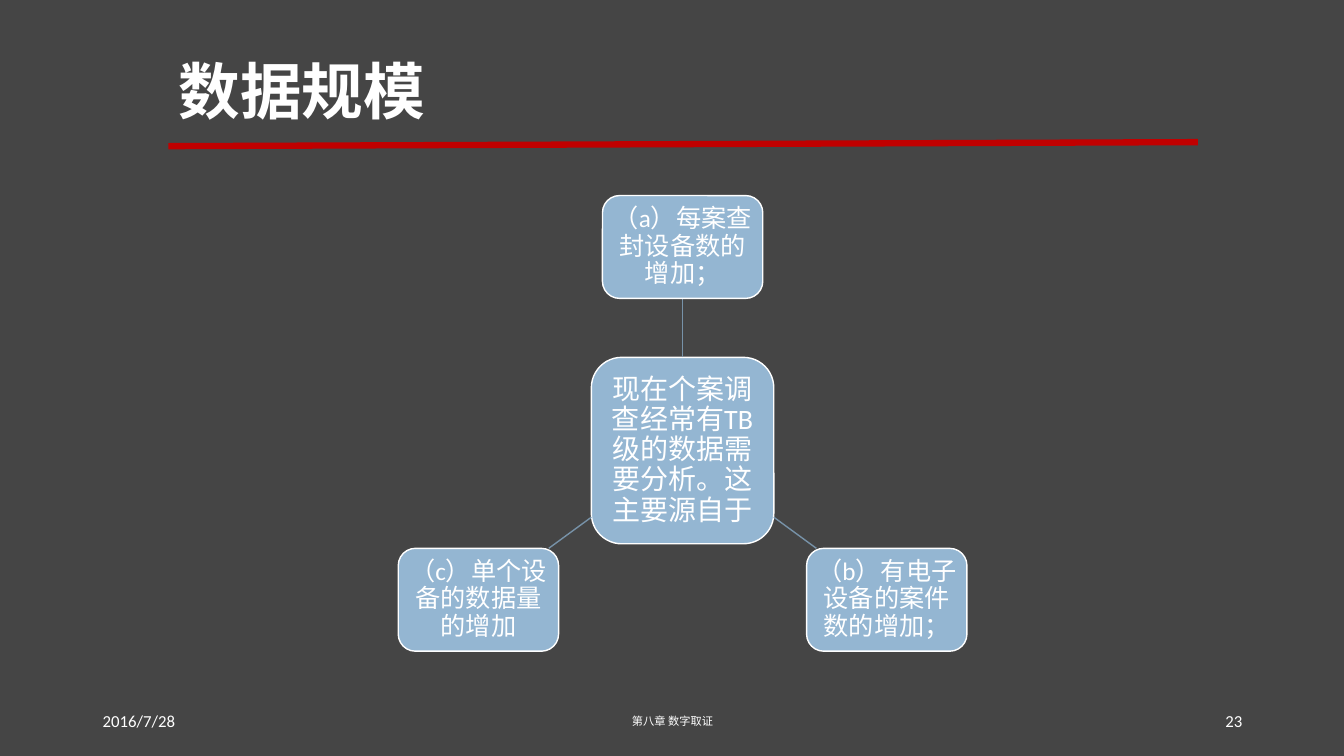
from collections import namedtuple

from lxml.etree import SubElement
from pptx import Presentation
from pptx.dml.color import RGBColor
from pptx.enum.shapes import MSO_CONNECTOR as Connector, MSO_SHAPE as Shape
from pptx.enum.text import MSO_ANCHOR as Anchor, MSO_AUTO_SIZE as AutoSize, PP_ALIGN as Align
from pptx.oxml.ns import qn
from pptx.util import Inches, Pt

BACKGROUND = RGBColor(0x45, 0x45, 0x45)
WHITE = RGBColor(0xFF, 0xFF, 0xFF)
RED = RGBColor(0xC0, 0x00, 0x00)
NODE_BLUE = RGBColor(0x94, 0xB6, 0xD2)
LINK_BLUE = RGBColor(0x77, 0x92, 0xA8)
LATIN_FONT = "Calibri"
CHINESE_FONT = "Noto Sans CJK SC"

# All boxes are in inches
Box = namedtuple("Box", "left top width height")

HUB_SIZE = (1.81, 1.85)
HUB_DROP = 2.53  # from the top of the diagram to the hub's centre
NODE_SIZE = (1.59, 1.02)
HUB_TEXT = "现在个案调查经常有TB级的数据需要分析。这主要源自于"
NODE_TEXTS = ["（a）每案查封设备数的增加；", "（b）有电子设备的案件数的增加；", "（c）单个设备的数据量的增加"]


def write_text(shape, text, size, align, font=LATIN_FONT, bold=False, spacing=1.0, inset=None):
    frame = shape.text_frame
    frame.word_wrap = True
    frame.auto_size = AutoSize.NONE
    frame.vertical_anchor = Anchor.MIDDLE
    if inset is not None:
        frame.margin_left = frame.margin_right = Inches(inset)
        frame.margin_top = frame.margin_bottom = Inches(inset)
    frame.text = text
    paragraph = frame.paragraphs[0]
    paragraph.alignment = align
    paragraph.line_spacing = spacing
    paragraph.font.name = font
    paragraph.font.size = Pt(size)
    paragraph.font.bold = bold
    paragraph.font.color.rgb = WHITE
    # Chinese characters take their own typeface
    properties = paragraph._p.pPr.find(qn("a:defRPr"))
    SubElement(properties, qn("a:ea"), typeface=CHINESE_FONT)


def add_line(slide, start, end, color, width):
    points = [Inches(value) for value in (*start, *end)]
    line = slide.shapes.add_connector(Connector.STRAIGHT, *points)
    line.line.color.rgb = color
    line.line.width = Pt(width)
    SubElement(line._element.spPr, qn("a:effectLst"))


def add_node(slide, center, size, text, font_size, inset):
    left, top = (middle - length / 2 for middle, length in zip(center, size))
    node = slide.shapes.add_shape(
        Shape.ROUNDED_RECTANGLE, *(Inches(value) for value in (left, top, *size)))
    node.shadow.inherit = False
    node.fill.solid()
    node.fill.fore_color.rgb = NODE_BLUE
    node.line.color.rgb = WHITE
    node.line.width = Pt(1)
    write_text(node, text, font_size, Align.CENTER, spacing=0.9, inset=inset)


def edge_point(center, size, target):
    """Point where the ray from a node's centre to the target leaves the node."""
    offsets = [goal - middle for goal, middle in zip(target, center)]
    scale = min(length / 2 / abs(offset) for length, offset in zip(size, offsets) if offset)
    return [middle + offset * scale for middle, offset in zip(center, offsets)]


def add_header(slide, box, text):
    # Red rule, rising slightly to the right
    add_line(slide, (box.left, box.top + 1.24), (box.left + box.width, box.top + 1.2), RED, 4.5)
    title = slide.shapes.title
    title.left, title.top, title.width, title.height = (Inches(value) for value in box)
    write_text(title, text, 44, Align.LEFT, font=CHINESE_FONT, bold=True, spacing=0.9)


def add_radial_diagram(slide, box):
    middle = box.left + box.width / 2
    hub = (middle, box.top + HUB_DROP)
    half_width, half_height = (length / 2 for length in NODE_SIZE)
    bottom = box.top + box.height - half_height
    node_centers = [
        (middle, box.top + half_height),
        (box.left + box.width - half_width, bottom),
        (box.left + half_width, bottom),
    ]
    add_node(slide, hub, HUB_SIZE, HUB_TEXT, 20, 0.06)
    for center, text in zip(node_centers, NODE_TEXTS):
        start = edge_point(hub, HUB_SIZE, center)
        end = edge_point(center, NODE_SIZE, hub)
        add_line(slide, start, end, LINK_BLUE, 1)
        add_node(slide, center, NODE_SIZE, text, 18, 0.05)


def add_footer(slide, box):
    center_left = box.left + (box.width - 4.5) / 2
    right_left = box.left + box.width - 3
    items = [
        (box.left, 3, "2016/7/28", 12, Align.LEFT, LATIN_FONT),
        (center_left, 4.5, "第八章 数字取证", 8, Align.CENTER, CHINESE_FONT),
        (right_left, 3, "23", 12, Align.RIGHT, LATIN_FONT),
    ]
    for left, width, text, size, align, font in items:
        area = (Inches(value) for value in (left, box.top, width, box.height))
        write_text(slide.shapes.add_textbox(*area), text, size, align, font=font)


def main():
    presentation = Presentation()
    presentation.slide_width = Inches(13.33)
    presentation.slide_height = Inches(7.5)
    slide = presentation.slides.add_slide(presentation.slide_layouts[5])
    slide.background.fill.solid()
    slide.background.fill.fore_color.rgb = BACKGROUND

    add_header(slide, Box(1.67, 0.21, 10.21, 1.45), "数据规模")
    add_radial_diagram(slide, Box(3.95, 1.94, 5.64, 4.52))
    add_footer(slide, Box(0.92, 6.95, 11.5, 0.4))
    presentation.save("out.pptx")


if __name__ == "__main__":
    main()
